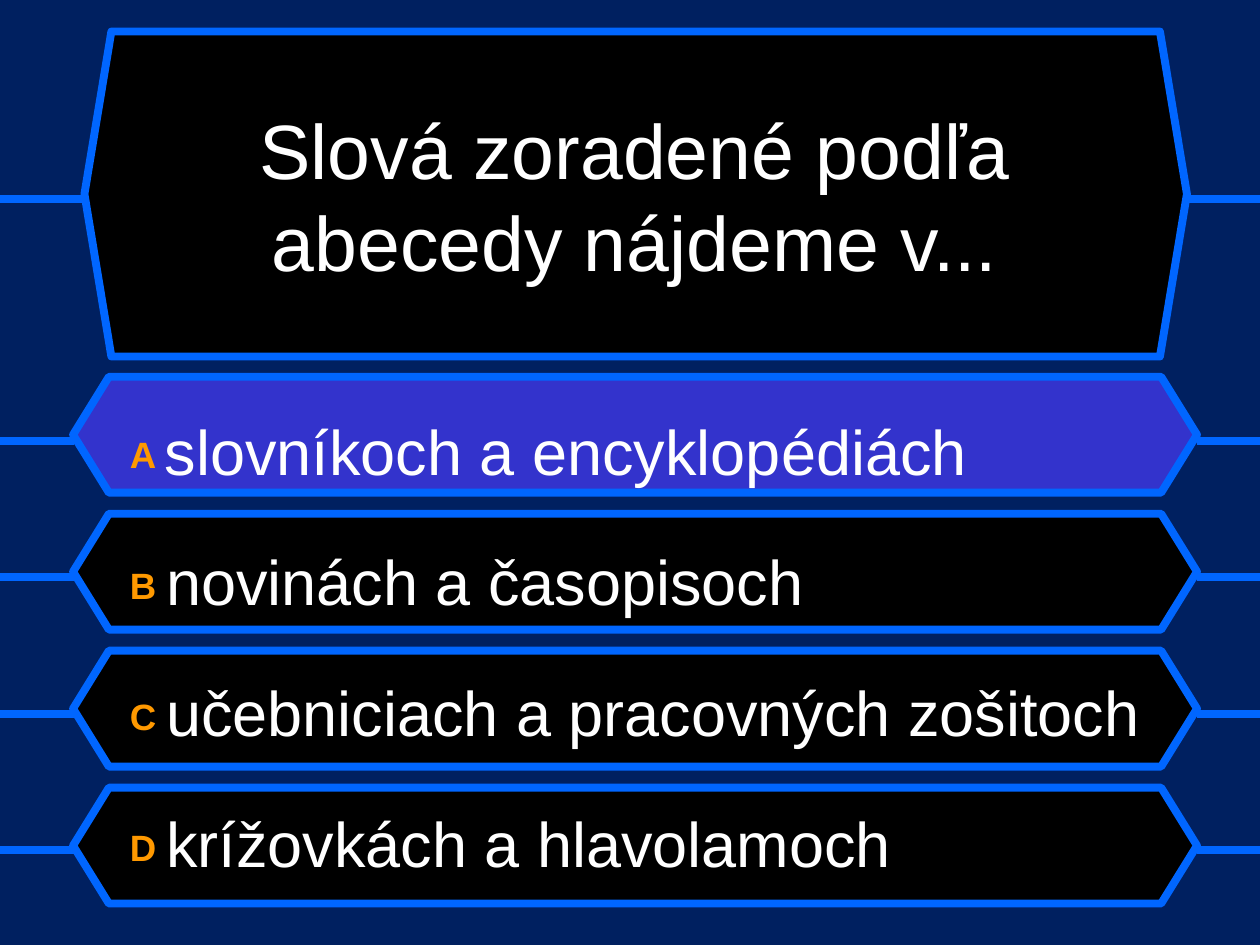
from lxml import etree
from pptx import Presentation
from pptx.dml.color import RGBColor
from pptx.enum import shapes, text
from pptx.oxml.ns import qn
from pptx.util import Inches, Pt

QUESTION = "Slová zoradené podľa abecedy nájdeme v..."
ANSWERS = [
    ("A ", "slovníkoch a encyklopédiách"),
    ("B ", "novinách a časopisoch"),
    ("C ", "učebniciach a pracovných zošitoch"),
    ("D ", "krížovkách a hlavolamoch"),
]
CORRECT = 0

NAVY = RGBColor(0x00, 0x20, 0x60)
BLUE = RGBColor(0x00, 0x66, 0xFF)
VIOLET = RGBColor(0x33, 0x33, 0xCC)
BLACK = RGBColor(0, 0, 0)
WHITE = RGBColor(0xFF, 0xFF, 0xFF)
ORANGE = RGBColor(0xFF, 0x99, 0x00)

WIDTH, HEIGHT = 10, 7.5
FIRST_TOP, ROW_STEP = 2.99, 1.087
FIRST_RAIL, RAIL_STEP = 3.5, 1.083


def add_panel(page, left, top, width, height, point, fill):
    panel = page.shapes.add_shape(
        shapes.MSO_SHAPE.HEXAGON,
        Inches(left), Inches(top), Inches(width), Inches(height))
    panel.adjustments[0] = point
    panel.shadow.inherit = False
    panel.fill.solid()
    panel.fill.fore_color.rgb = fill
    panel.line.color.rgb = BLUE
    panel.line.width = Pt(4.5)


def add_rail(page, start, end, y):
    rail = page.shapes.add_connector(
        shapes.MSO_CONNECTOR.STRAIGHT,
        Inches(start), Inches(y), Inches(end), Inches(y))
    rail.line.color.rgb = BLUE
    rail.line.width = Pt(4.5)
    etree.SubElement(rail.element.spPr, qn("a:effectLst"))


def add_rails(page, left, right, y):
    add_rail(page, left, 0, y)
    add_rail(page, WIDTH, right, y)


def place(page, box, left, top, width, height, anchor):
    box.left, box.top = Inches(left), Inches(top)
    box.width, box.height = Inches(width), Inches(height)
    frame = box.text_frame
    frame.word_wrap = True
    frame.auto_size = text.MSO_AUTO_SIZE.NONE
    frame.vertical_anchor = anchor
    page.shapes.element.append(box.element)
    return frame


def add_span(para, words, size, color, bold=False):
    span = para.add_run()
    span.text = words
    span.font.name = "Arial"
    span.font.size = Pt(size)
    span.font.bold = bold
    span.font.color.rgb = color
    return span


def add_answer(para, letter, answer):
    para.line_spacing = 1.5
    para.space_before = Pt(10)
    props = para._p.get_or_add_pPr()
    props.set("marL", str(Inches(0.38)))
    props.set("indent", str(Inches(-0.37)))
    etree.SubElement(props, qn("a:buNone"))
    label = add_span(para, letter, 36, ORANGE, bold=True)
    label.font._element.set("baseline", "10000")
    add_span(para, answer, 36, WHITE)


def main():
    deck = Presentation()
    deck.slide_width, deck.slide_height = Inches(WIDTH), Inches(HEIGHT)
    page = deck.slides.add_slide(deck.slide_layouts[1])
    page.background.fill.solid()
    page.background.fill.fore_color.rgb = NAVY
    title, body = page.shapes.title, page.placeholders[1]

    add_panel(page, 0.67, 0.25, 8.75, 2.58, 0.083, BLACK)
    for row in range(len(ANSWERS)):
        add_panel(page, 0.58, FIRST_TOP + row * ROW_STEP, 8.92, 0.92, 0.309,
                  VIOLET if row == CORRECT else BLACK)

    frame = place(page, title, 0.83, 0.42, 8.42, 2.25, text.MSO_ANCHOR.MIDDLE)
    para = frame.paragraphs[0]
    para.alignment = text.PP_ALIGN.CENTER
    add_span(para, QUESTION, 44, WHITE)

    frame = place(page, body, 0.92, 2.92, 8.33, 4.33, text.MSO_ANCHOR.TOP)
    for row, (letter, answer) in enumerate(ANSWERS):
        para = frame.add_paragraph() if row else frame.paragraphs[0]
        add_answer(para, letter, answer)

    add_rails(page, 0.67, 9.41, 1.58)
    for row in range(len(ANSWERS)):
        add_rails(page, 0.59, 9.5, FIRST_RAIL + row * RAIL_STEP)

    deck.save("out.pptx")


if __name__ == "__main__":
    main()
